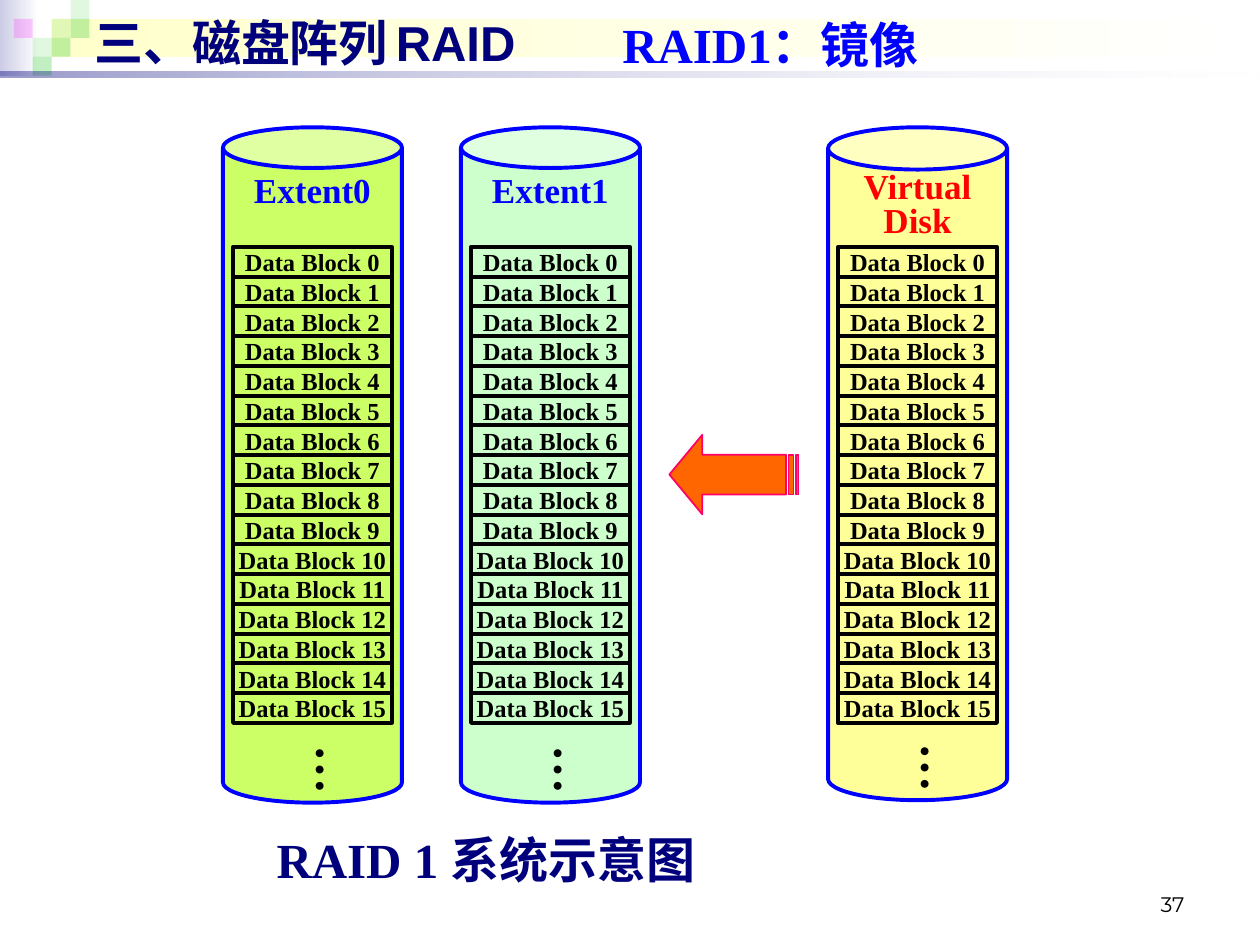
from lxml import etree
from pptx import Presentation
from pptx.dml.color import RGBColor
from pptx.enum import shapes, text
from pptx.oxml.ns import qn
from pptx.util import Pt

NAVY = RGBColor(0x00, 0x00, 0x7D)
BLUE = RGBColor(0x00, 0x00, 0xFF)
RED = RGBColor(0xFF, 0x00, 0x00)
BLACK = RGBColor(0x00, 0x00, 0x00)
WHITE = RGBColor(0xFF, 0xFF, 0xFF)
LAVENDER = RGBColor(0xCC, 0xCC, 0xE6)
CREAM = RGBColor(0xFF, 0xFF, 0xCC)
GREEN = RGBColor(0x33, 0xCC, 0x33)
MAGENTA = RGBColor(0xFF, 0x00, 0xFF)
LIME = RGBColor(0xCC, 0xFF, 0x66)
MINT = RGBColor(0xCC, 0xFF, 0xCC)
YELLOW = RGBColor(0xFF, 0xFF, 0x99)
ORANGE = RGBColor(0xFF, 0x66, 0x00)
PINK = RGBColor(0xFF, 0x00, 0x66)

SERIF, SANS, CJK = "Times New Roman", "Arial", "Noto Sans CJK SC"
LEFT, CENTER, RIGHT = text.PP_ALIGN.LEFT, text.PP_ALIGN.CENTER, text.PP_ALIGN.RIGHT
RECT, CAN = shapes.MSO_SHAPE.RECTANGLE, shapes.MSO_SHAPE.CAN


def add_run(p, words, size, font, color, bold=True):
    r = p.add_run()
    r.text = words
    r.font.size = Pt(size)
    r.font.bold = bold
    r.font.color.rgb = color
    r.font.name = font
    etree.SubElement(r._r.get_or_add_rPr(), qn("a:ea")).set("typeface", CJK)


def add_text(s, box, runs, align=LEFT, spacing=None, hanging=0,
             anchor=text.MSO_ANCHOR.TOP, vertical=False):
    tf = s.shapes.add_textbox(*map(Pt, box)).text_frame
    tf.word_wrap = True
    tf.vertical_anchor = anchor
    if vertical:
        tf._txBody.bodyPr.set("vert", "eaVert")
    p = tf.paragraphs[0]
    p.alignment = align
    if spacing:
        p.line_spacing = spacing
    if hanging:
        pPr = p._p.get_or_add_pPr()
        pPr.set("marL", str(Pt(hanging)))
        pPr.set("indent", str(-Pt(hanging)))
    for run in runs:
        add_run(p, *run)


def add_box(s, kind, box, fill=None, line=None, width=2.25):
    sp = s.shapes.add_shape(kind, *map(Pt, box))
    paint(sp, fill, line, width)
    return sp


def paint(sp, fill, line, width):
    sp.shadow.inherit = False
    if fill is None:
        sp.fill.background()
    else:
        sp.fill.solid()
        sp.fill.fore_color.rgb = fill
    if line is None:
        sp.line.fill.background()
    else:
        sp.line.color.rgb = line
        sp.line.width = Pt(width)


def set_alpha(sp, *percents):
    for color, percent in zip(sp._element.spPr.iter(qn("a:srgbClr")), percents):
        etree.SubElement(color, qn("a:alpha")).set("val", str(percent * 1000))


def add_gradient(s, box, start, end):
    sp = add_box(s, RECT, box)
    sp.fill.gradient()
    sp.fill.gradient_angle = 0
    for stop, color in zip(sp.fill.gradient_stops, (start, end)):
        stop.color.rgb = color
    return sp


def banner(s, x, y, w, h):
    cell = h / 4
    add_gradient(s, (x, y, 22.3, h), LAVENDER, WHITE)
    add_gradient(s, (x + 29.5, y + cell, w - 32.4, 2 * cell), CREAM, WHITE)
    squares = [(2, 1, GREEN, 15), (3, 0, GREEN, 15), (3, 1, GREEN, 30), (1, 2, GREEN, 15),
               (0, 1, MAGENTA, 20), (2, 2, GREEN, 30), (1, 3, GREEN, 30)]
    for col, row, color, alpha in squares:
        sp = add_box(s, RECT, (x + 7.9 + col * cell, y + row * cell, cell, cell), color)
        set_alpha(sp, alpha)
    set_alpha(add_gradient(s, (x, y + 41, w, 3.6), NAVY, WHITE), 40, 10)
    add_text(s, (x + 46.8, y + 3.6, 648, 39.6),
             [("三、磁盘阵列", 28, SANS, NAVY), (" ", 20, SANS, NAVY), ("RAID", 28, SANS, NAVY)])
    add_text(s, (x + 348.5, y + 8.6, 215.3, 37.4), [("RAID1：镜像", 28, SERIF, BLUE)],
             spacing=0.9, hanging=27)


def disk(s, x, y, w, h, fill, adj, label, color, label_top, label_h, spacing, dots_h, dots_align):
    add_box(s, CAN, (x, y, w, h), fill, BLUE).adjustments[0] = adj
    inset, pitch, first = 5.8, 17, 68.3
    inner = w - 2 * inset
    for i in range(16):
        sp = add_box(s, RECT, (x + inset, y + first + i * pitch, inner, pitch), None, BLACK)
        tf = sp.text_frame
        tf.word_wrap = False
        tf.vertical_anchor = text.MSO_ANCHOR.MIDDLE
        p = tf.paragraphs[0]
        p.alignment = CENTER
        add_run(p, f"Data Block {i}", 14, SERIF, BLACK)
    add_text(s, (x + inset, y + label_top, inner, label_h), [(label, 20, SERIF, color)],
             CENTER, spacing)
    add_text(s, (x + 28.1, y + h - 39.6, 48.2, dots_h), [("…", 28, CJK, BLACK)],
             dots_align, vertical=True)


def striped_arrow(s, x, y, w, h):
    head, top, bottom, unit = 18.8, h / 4, h * 3 / 4, h / 32

    def stripe(near, far):
        left, right = w - far * unit, w - near * unit
        return [(right, top), (right, bottom), (left, bottom), (left, top)]

    body = w - 5 * unit
    outline = [(head, 0), (head, top), (body, top), (body, bottom),
               (head, bottom), (head, h), (0, h / 2)]
    fb = None
    for contour in (outline, stripe(2, 4), stripe(0, 1)):
        start, *rest = [(Pt(px), Pt(py)) for px, py in contour]
        if fb is None:
            fb = s.shapes.build_freeform(*start)
        else:
            fb.move_to(*start)
        fb.add_line_segments(rest, close=True)
    paint(fb.convert_to_shape(Pt(x), Pt(y)), ORANGE, PINK, 1)


def footer(s, x, y, w, h):
    add_text(s, (x + 31, y, 493.2, 33.8), [("RAID 1 系统示意图", 28, SERIF, NAVY)],
             CENTER, 0.9, 27)
    add_text(s, (x + w - 203.8, y + h - 53, 167.8, 36), [("37", 12, "Montserrat", BLACK, False)],
             RIGHT, anchor=text.MSO_ANCHOR.BOTTOM)


def main():
    prs = Presentation()
    prs.slide_width, prs.slide_height = Pt(720), Pt(540)
    s = prs.slides.add_slide(prs.slide_layouts[6])
    banner(s, 0, 0, 720, 43.2)
    extent = (BLUE, 20.2, 31, None, 39.6, CENTER)
    disk(s, 127.4, 72.8, 102.3, 385.9, LIME, 0.227, "Extent0", *extent)
    disk(s, 263.4, 72.8, 102.3, 385.9, MINT, 0.227, "Extent1", *extent)
    disk(s, 473.2, 72.8, 102.3, 384.5, YELLOW, 0.236, "Virtual Disk",
         RED, 22.3, 46, 0.8, 45.4, LEFT)
    striped_arrow(s, 382.5, 248.5, 73.8, 45.4)
    footer(s, 0, 474.5, 720, 70)
    prs.save("out.pptx")


if __name__ == "__main__":
    main()
